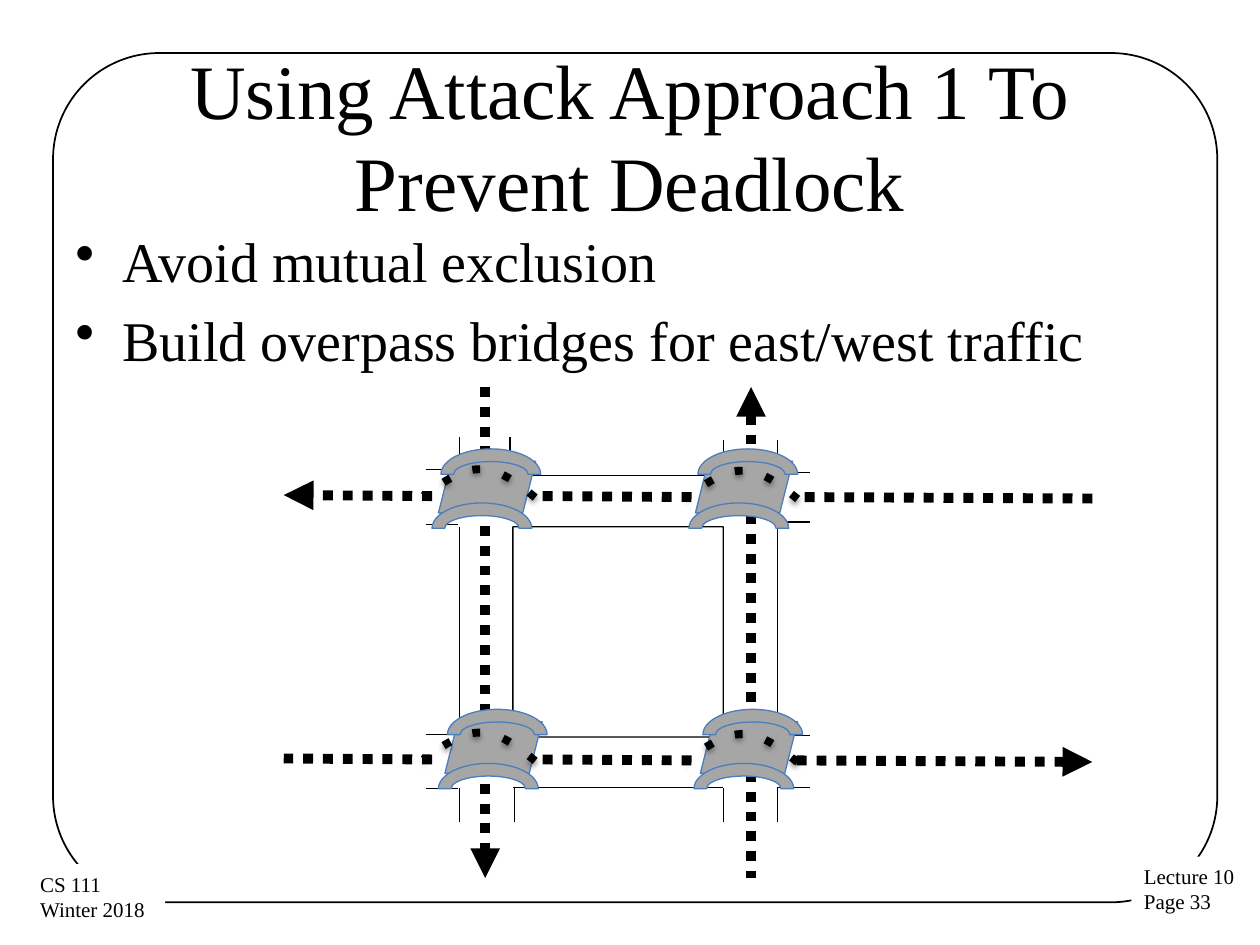
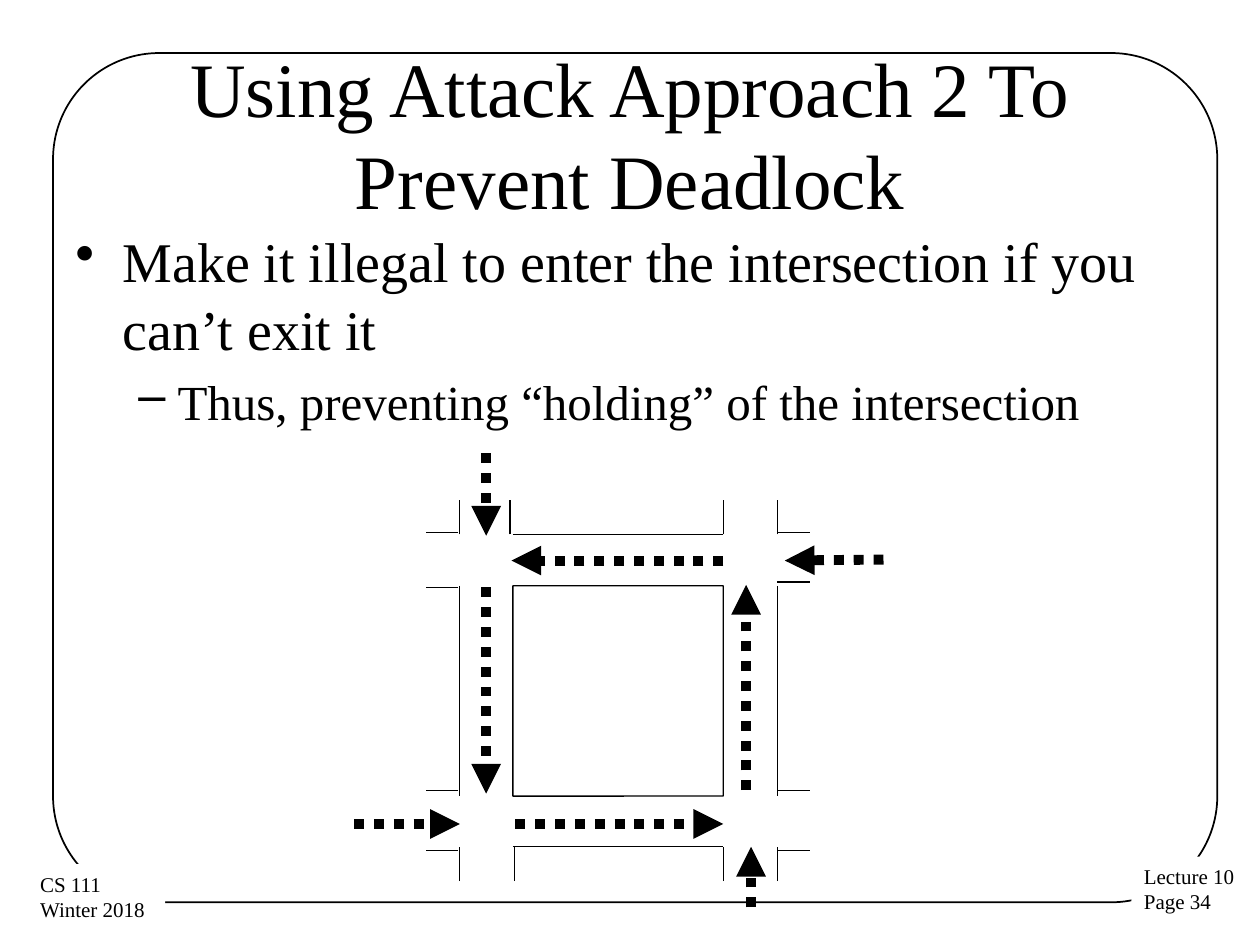
from lxml.etree import SubElement
from pptx import Presentation
from pptx.dml.color import RGBColor
from pptx.enum.shapes import MSO_CONNECTOR, MSO_SHAPE as SHAPE
from pptx.enum.text import MSO_ANCHOR, MSO_AUTO_SIZE, PP_ALIGN
from pptx.oxml.ns import qn
from pptx.util import Cm, Pt

INK, PAPER, CONCRETE, CONCRETE_EDGE = "000000", "FFFFFF", "A6A6A6", "4B7EBC"
FONT = "Times New Roman"
THIN, TRAFFIC, HUMP = 0.75, 5.67, 4.5  # line widths in points

# Bullet levels: sign, left margin, hanging indent, size
LEVELS = [("•", 0.95, 0.95, 32), ("–", 2.06, 0.79, 28)]

# Edges of the two north-south streets
WEST_OUTER, WEST_INNER, EAST_INNER, EAST_OUTER = 9.27, 10.34, 14.58, 15.67
BLOCK, STUB = 4.24, 0.69

# Bezier points of the path over a bridge, from its east end
HUMP_POINTS = [(2.26, 0.59), (1.9, 0.3), (1.55, 0.02), (1.17, 0.02),
               (0.79, 0), (0.41, 0.28), (0, 0.56)]


def color(hex_string):
    return RGBColor.from_string(hex_string)


def bezier(p0, p1, p2, p3, steps=16):
    """Points along a cubic curve, without its first one."""
    for i in range(1, steps + 1):
        t = i / steps
        u = 1 - t
        yield tuple(u**3 * a + 3 * u * u * t * b + 3 * u * t * t * c + t**3 * d
                    for a, b, c, d in zip(p0, p1, p2, p3))


class Deck:
    def __init__(self):
        self.prs = Presentation()
        self.prs.slide_width, self.prs.slide_height = Cm(25.4), Cm(19.05)
        self.slide = None

    # Basic elements
    def stroke(self, line, width, ink=INK, dash=None, arrow=None):
        line.color.rgb = color(ink)
        line.width = Pt(width)
        ln = line._get_or_add_ln()
        if dash:
            SubElement(ln, qn("a:prstDash"), val=dash)
        if arrow:
            SubElement(ln, qn(f"a:{arrow}"), type="triangle")

    def shape(self, kind, x, y, w, h, fill=None, ink=None, width=THIN):
        item = self.slide.shapes.add_shape(kind, Cm(x), Cm(y), Cm(w), Cm(h))
        item.shadow.inherit = False
        if fill:
            item.fill.solid()
            item.fill.fore_color.rgb = color(fill)
        else:
            item.fill.background()
        if ink:
            self.stroke(item.line, width, ink)
        else:
            item.line.fill.background()
        return item

    def line(self, x1, y1, x2, y2, width=THIN, dash=None, arrow=None):
        item = self.slide.shapes.add_connector(
            MSO_CONNECTOR.STRAIGHT, Cm(x1), Cm(y1), Cm(x2), Cm(y2))
        self.stroke(item.line, width, dash=dash, arrow=arrow)
        SubElement(item._element.spPr, qn("a:effectLst"))

    def traffic(self, x1, y1, x2, y2, arrow="tailEnd"):
        self.line(x1, y1, x2, y2, TRAFFIC, "sysDot", arrow)

    def style(self, paragraph, size, align=PP_ALIGN.LEFT):
        paragraph.alignment = align
        font = paragraph.font
        font.name, font.size = FONT, Pt(size)
        font.color.rgb = color(INK)

    def text_box(self, x, y, w, h):
        frame = self.slide.shapes.add_textbox(Cm(x), Cm(y), Cm(w), Cm(h)).text_frame
        frame.word_wrap = True
        return frame

    # Slide parts
    def footer(self, lines, x, y, w):
        frame = self.shape(SHAPE.RECTANGLE, x, y, w, 1.3, fill=PAPER).text_frame
        frame.word_wrap = False
        frame.auto_size = MSO_AUTO_SIZE.SHAPE_TO_FIT_TEXT
        frame.text = "\n".join(lines)
        for paragraph in frame.paragraphs:
            self.style(paragraph, 12)

    def new_slide(self, title, page, title_top):
        self.slide = self.prs.slides.add_slide(self.prs.slide_layouts[6])
        border = self.shape(SHAPE.ROUNDED_RECTANGLE, 1.07, 1.07, 23.47, 17.12,
                            ink=INK, width=1)
        border.adjustments[0] = 0.125
        self.footer(["Lecture 10", f"Page {page}"], 22.81, 17.27, 2.36)
        self.footer(["CS 111", "Winter 2018"], 0.56, 17.42, 2.77)
        frame = self.text_box(1.27, title_top, 22.86, 3.18)
        frame.vertical_anchor = MSO_ANCHOR.MIDDLE
        frame.text = title
        self.style(frame.paragraphs[0], 44, PP_ALIGN.CENTER)

    def bullets(self, items):
        frame = self.text_box(1.27, 4.45, 22.86, 12.57)
        frame.text = "\n".join(text for _, text in items)
        for paragraph, (level, _) in zip(frame.paragraphs, items):
            sign, margin, hanging, size = LEVELS[level]
            props = paragraph._p.get_or_add_pPr()
            props.set("marL", str(Cm(margin)))
            props.set("indent", str(-Cm(hanging)))
            SubElement(props, qn("a:buChar"), char=sign)
            paragraph.space_before = Pt(0.2 * size)
            self.style(paragraph, size)

    def streets(self, top, west_stub, east_stub, west_kerbs, east_kerbs):
        """City block whose top edge is at top, with the street edges around it."""
        block = self.shape(SHAPE.ROUNDED_RECTANGLE, WEST_INNER, top, BLOCK, BLOCK, ink=INK)
        block.adjustments[0] = 0.001
        south = top + 5.26
        for y in (top - 1.04, south):
            self.line(WEST_INNER, y, EAST_INNER, y)
        for x in (WEST_OUTER, EAST_OUTER):
            self.line(x, top, x, top + BLOCK)
        north_stubs = [(WEST_OUTER, west_stub), (10.28, west_stub),
                       (EAST_INNER, east_stub), (EAST_OUTER, east_stub)]
        for x, y in north_stubs:
            self.line(x, y + STUB, x, y)
        for x in (WEST_OUTER, 10.37, EAST_INNER, EAST_OUTER):
            self.line(x, south + STUB, x, south)
        for y in west_kerbs:
            self.line(8.59, y, 9.23, y)
        for y in east_kerbs:
            self.line(EAST_OUTER, y, 16.33, y)

    def bridge(self, x, y):
        style = {"fill": CONCRETE, "ink": CONCRETE_EDGE}
        self.shape(SHAPE.PARALLELOGRAM, x, y, 1.96, 1.04, **style)
        for dx, dy in ((0.05, -0.25), (-0.13, 0.84)):
            self.shape(SHAPE.BLOCK_ARC, x + dx, y + dy, 2.01, 1.02, **style)

    def hump(self, x, y):
        """Dotted path of the traffic that climbs over a bridge."""
        points = [(Cm(x + dx), Cm(y + dy)) for dx, dy in HUMP_POINTS]
        builder = self.slide.shapes.build_freeform(*points[0])
        for start in (0, 3):
            builder.add_line_segments(bezier(*points[start:start + 4]), close=False)
        path = builder.convert_to_shape()
        path.fill.background()
        self.stroke(path.line, HUMP, dash="dot")
        path.shadow.inherit = False
        effects = path._element.spPr.find(qn("a:effectLst"))
        shadow = SubElement(effects, qn("a:outerShdw"), blurRad=str(Pt(3.1)),
                            dist=str(Pt(1.6)), dir="5400000", rotWithShape="0")
        ink = SubElement(shadow, qn("a:srgbClr"), val=INK)
        SubElement(ink, qn("a:alpha"), val="38000")


def overpass_slide(deck):
    deck.new_slide("Using Attack Approach 1 To Prevent Deadlock", 33, 1.12)
    deck.bullets([(0, "Avoid mutual exclusion"),
                  (0, "Build overpass bridges for east/west traffic")])
    deck.streets(10.62, 8.81, 8.86,
                 west_kerbs=(9.47, 10.57, 14.81, 15.9),
                 east_kerbs=(9.53, 10.52, 14.82, 15.88))

    # North-south traffic passes under the bridges
    deck.traffic(15.14, 7.8, 15.14, 17.7, "headEnd")
    deck.traffic(9.78, 7.8, 9.78, 17.7)
    for corner in ((8.84, 9.3), (14.02, 9.3), (14.12, 14.55), (8.97, 14.55)):
        deck.bridge(*corner)

    # East-west traffic passes over them
    for y, west_arrow, east_arrow in ((9.98, "tailEnd", None), (15.29, None, "headEnd")):
        deck.traffic(22.02, y + 0.07, 16.03, y + 0.04, east_arrow)
        deck.hump(13.82, y - 0.51)
        deck.traffic(13.94, y + 0.04, 10.9, y + 0.02, None)
        deck.hump(8.53, y - 0.54)
        deck.traffic(8.71, y + 0.02, 5.72, y, west_arrow)


def no_entry_slide(deck):
    deck.new_slide("Using Attack Approach 2 To Prevent Deadlock", 34, 1.09)
    deck.bullets([(0, "Make it illegal to enter the intersection if you can’t exit it"),
                  (1, "Thus, preventing “holding” of the intersection")])
    deck.streets(11.81, 10.08, 10.08,
                 west_kerbs=(10.74, 11.84, 15.94, 17.15),
                 east_kerbs=(10.74, 11.73, 15.94, 17.15))

    # Traffic around the block
    around = [(14.58, 11.3, 10.31, 11.3), (9.8, 11.84, 9.8, 16),
              (10.39, 16.61, 14.58, 16.61), (15.04, 15.93, 15.04, 11.79)]
    # Traffic that waits to enter
    waiting = [(17.81, 11.28, 15.82, 11.3), (9.8, 9.14, 9.8, 10.8),
               (7.14, 16.61, 9.27, 16.61), (15.14, 18.29, 15.14, 17.07)]
    for route in around + waiting:
        deck.traffic(*route)


def main():
    deck = Deck()
    overpass_slide(deck)
    no_entry_slide(deck)
    deck.prs.save("out.pptx")


if __name__ == "__main__":
    main()
